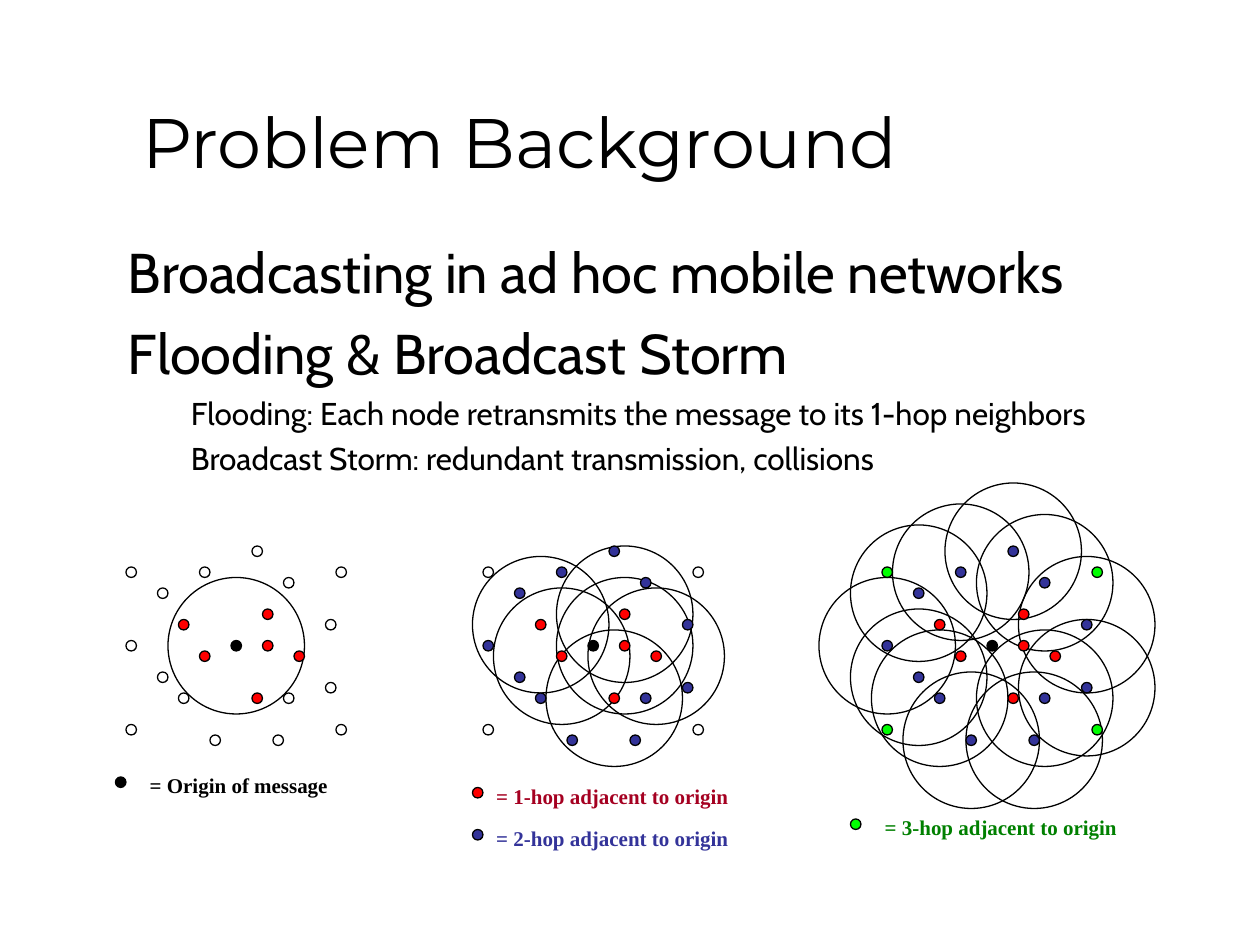
from dataclasses import dataclass

from pptx import Presentation
from pptx.dml.color import RGBColor as RGB
from pptx.enum.shapes import MSO_SHAPE as Shape
from pptx.enum.text import MSO_ANCHOR as Anchor, MSO_AUTO_SIZE as Fit, PP_ALIGN as Align
from pptx.util import Pt


@dataclass(frozen=True)
class Theme:
    ink: str = "000000"
    hops: tuple = ("000000", "FF0000", "333399", "00FF00")
    labels: tuple = ("000000", "A50021", "333399", "008000")
    head: str = "Montserrat"
    body: str = "Cabin"
    key: str = "Times New Roman"
    head_size: int = 40
    sizes: tuple = (32, 18)
    key_size: int = 12
    line: float = 0.75


THEME = Theme()
STEP = 6      # grid step, also the width of a node
RANGE = 78    # width of a radio range

# Grid cells of the nodes, by number of hops from the origin
NODES = (
    [(10, 9)],
    [(13, 6), (16, 10), (12, 14), (5, 7), (13, 9), (7, 10)],
    [(7, 2), (12, 0), (15, 14), (5, 14), (3, 12), (14, 18),
     (19, 13), (19, 7), (0, 9), (8, 18), (3, 4), (15, 3)],
    [(20, 2), (0, 2), (0, 17), (20, 17)],
)

# Level and wording
POINTS = (
    (0, "Broadcasting in ad hoc mobile networks"),
    (0, "Flooding & Broadcast Storm"),
    (1, "Flooding: Each node retransmits the message to its 1-hop neighbors"),
    (1, "Broadcast Storm: redundant transmission, collisions"),
)
INDENTS = ((27, -27), (58.5, -22.5))
GAPS = (8, 4.5)

# Hop, left, top, gap to the label, label width, wording
KEYS = (
    (0, 66, 444, 12.5, 116, "= Origin of message"),
    (1, 270, 450, 6.5, 147, "= 1-hop adjacent to origin"),
    (2, 270, 474, 6.5, 147, "= 2-hop adjacent to origin"),
    (3, 486, 468, 12.5, 147, "= 3-hop adjacent to origin"),
)


def place(shape, box):
    for name, val in zip(("left", "top", "width", "height"), box):
        setattr(shape, name, Pt(val))


def style(para, color, **form):
    para.alignment = Align.LEFT
    font = para.runs[0].font
    for name, val in form.items():
        setattr(font, name, val)
    font.color.rgb = RGB.from_string(color)


def frame(shape, **form):
    text = shape.text_frame
    for name, val in form.items():
        setattr(text, name, val)
    return text


def circle(shapes, left, top, size, color=None):
    """Add an outlined circle, filled only if a colour is given."""
    disc = shapes.add_shape(Shape.OVAL, Pt(left), Pt(top), Pt(size), Pt(size))
    disc.shadow.inherit = False
    disc.line.color.rgb = RGB.from_string(THEME.ink)
    disc.line.width = Pt(THEME.line)
    if color:
        disc.fill.solid()
        disc.fill.fore_color.rgb = RGB.from_string(color)
    else:
        disc.fill.background()


def add_title(slide, box):
    title = slide.shapes.title
    place(title, box)
    text = frame(title, text="Problem Background", vertical_anchor=Anchor.BOTTOM,
                 word_wrap=True, auto_size=Fit.NONE)
    style(text.paragraphs[0], THEME.ink, name=THEME.head, size=Pt(THEME.head_size))


def add_points(slide, box):
    shape = slide.shapes.add_textbox(*map(Pt, box))
    text = frame(shape, word_wrap=True, text="\n".join(words for _, words in POINTS))
    for para, (level, _) in zip(text.paragraphs, POINTS):
        style(para, THEME.ink, name=THEME.body, size=Pt(THEME.sizes[level]))
        para.level = level
        para.space_before = Pt(GAPS[level])
        props = para._p.get_or_add_pPr()
        for name, val in zip(("marL", "indent"), INDENTS[level]):
            props.set(name, str(Pt(val)))


def add_net(slide, left, top, stage):
    """Draw the network once nodes up to the given hop have been reached."""
    shapes = slide.shapes.add_group_shape().shapes
    inset = (RANGE - STEP) / 2
    for col, row in NODES[stage - 1]:
        circle(shapes, left + col * STEP - inset, top + row * STEP - inset, RANGE)
    for hop, cells in enumerate(NODES):
        color = THEME.hops[hop] if hop <= stage else None
        for col, row in cells:
            circle(shapes, left + col * STEP, top + row * STEP, STEP, color)


def add_key(slide, hop, left, top, gap, width, words):
    circle(slide.shapes, left, top, STEP, THEME.hops[hop])
    box = (left + gap, top - 6, width, 21.6)
    shape = slide.shapes.add_textbox(*map(Pt, box))
    text = frame(shape, text=words, word_wrap=False, vertical_anchor=Anchor.MIDDLE,
                 auto_size=Fit.SHAPE_TO_FIT_TEXT)
    style(text.paragraphs[0], THEME.labels[hop], name=THEME.key,
          size=Pt(THEME.key_size), bold=True)


def main():
    deck = Presentation()
    deck.slide_width, deck.slide_height = Pt(720), Pt(540)
    slide = deck.slides.add_slide(deck.slide_layouts[5])
    add_title(slide, (74, 18, 480, 90))
    add_points(slide, (66, 132, 633, 351))
    for stage, left in enumerate((72, 276, 504), 1):
        add_net(slide, left, 312, stage)
    for key in KEYS:
        add_key(slide, *key)
    deck.save("out.pptx")


if __name__ == "__main__":
    main()
